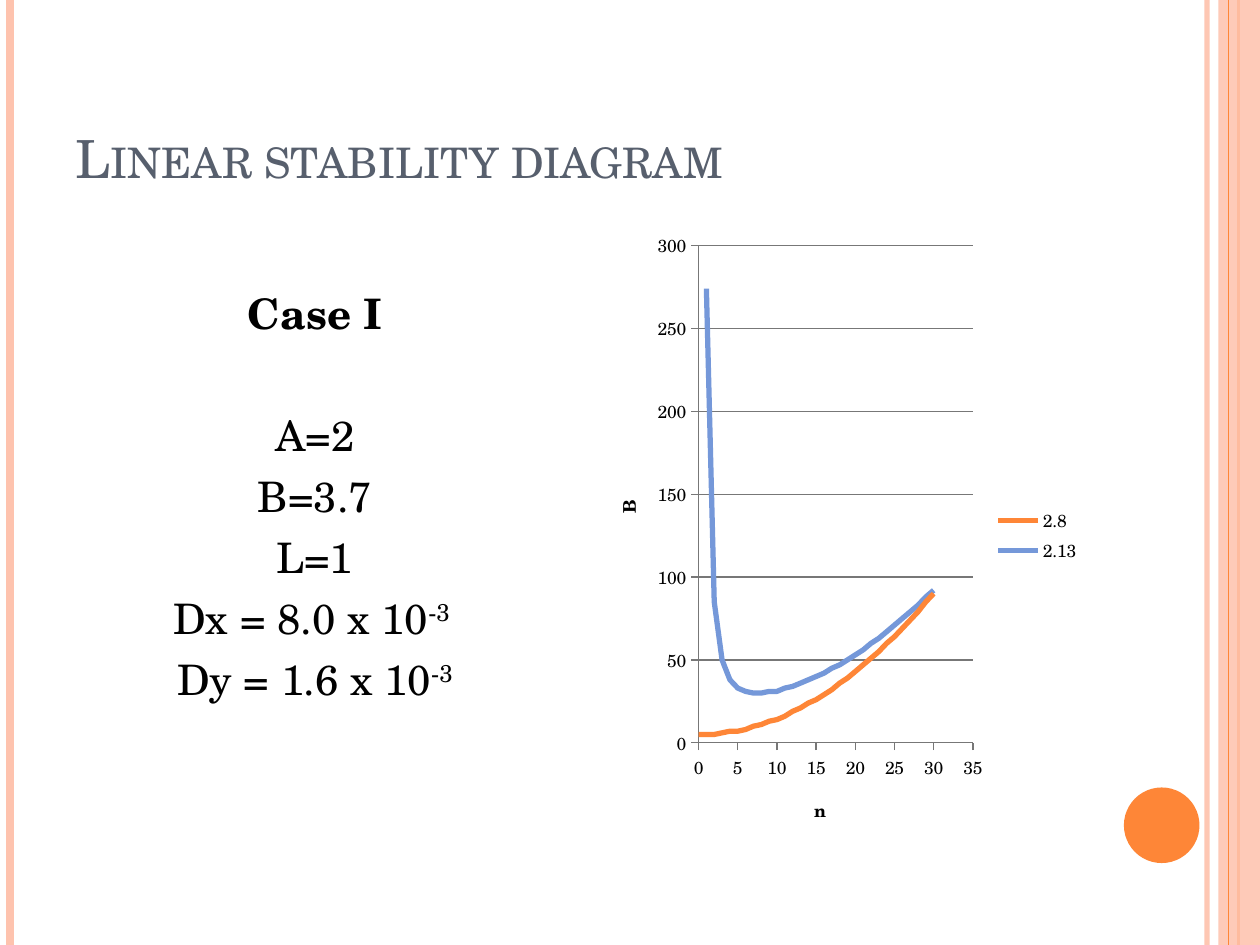
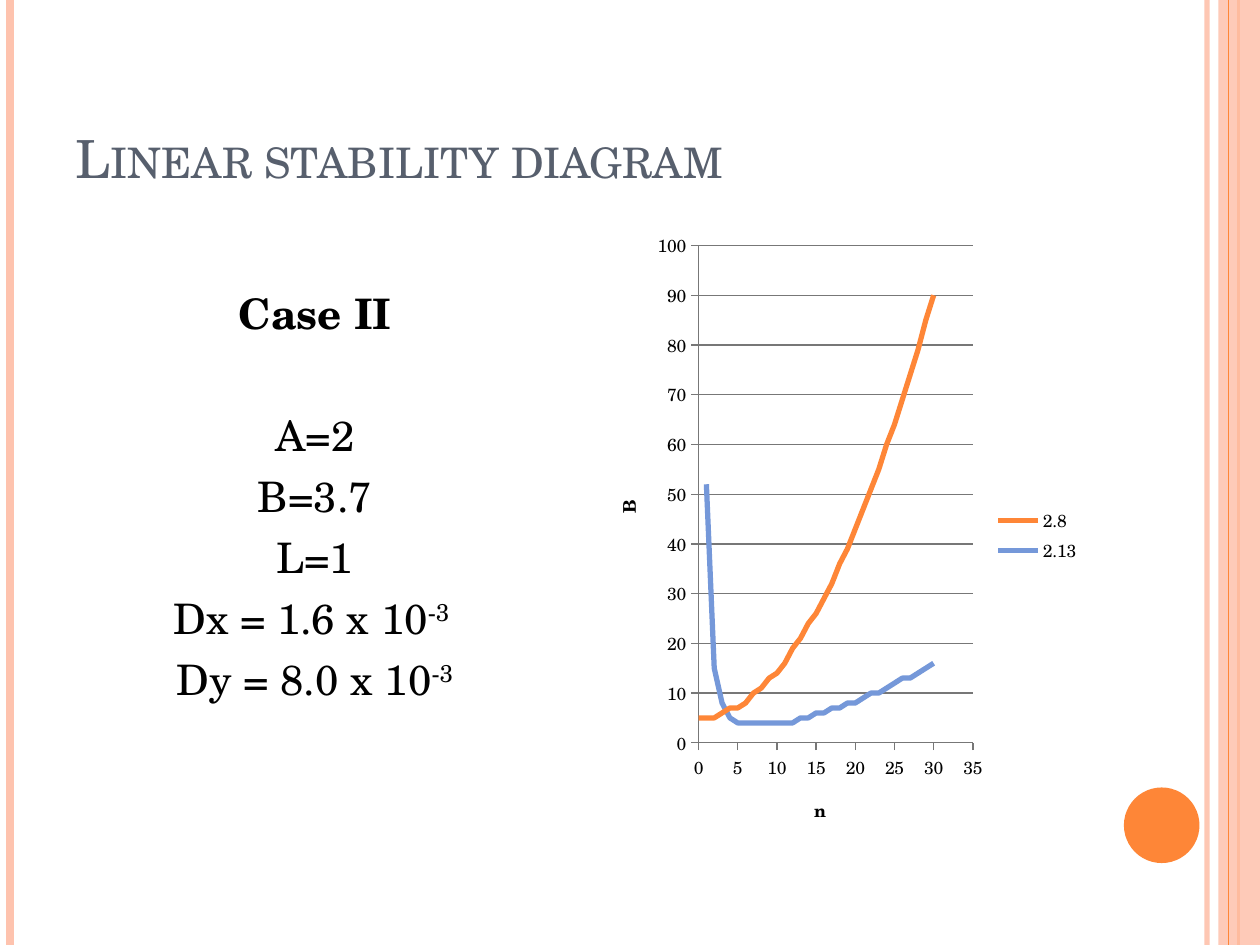
from lxml import etree
from pptx import Presentation
from pptx import util as u
from pptx.chart import data as cd
from pptx.dml.color import RGBColor
from pptx.enum import chart as ce, shapes, text
from pptx.oxml.ns import qn

FACE = "TeX Gyre Schola"
PALE, ORANGE, BLUE = "FEC3AE", "FE8637", "7598D9"
SLATE, BLACK, GREY = "575F6D", "000000", "777777"


def tint(form, code, alpha=100):
    form.solid()
    form.fore_color.rgb = RGBColor.from_string(code)
    if alpha < 100:
        node = form._xPr.find(".//" + qn("a:srgbClr"))
        etree.SubElement(node, qn("a:alpha")).set("val", str(alpha * 1000))


def put(item, **vals):
    for key, val in vals.items():
        setattr(item, key, val)


class Deck:
    def __init__(self):
        self.pres = Presentation()
        put(self.pres, slide_width=u.Inches(10), slide_height=u.Inches(7.5))

    def page(self):
        self.slide = self.pres.slides.add_slide(self.pres.slide_layouts[6])
        self.rule(9.58, PALE, 3, 93)
        self.rule(0.08, PALE, 4.5)
        self.rule(9.83, ORANGE, 1.5)
        self.shape(shapes.MSO_SHAPE.RECTANGLE, (9.67, 0, 0.33, 7.5), PALE, 87)
        self.rule(9.75, ORANGE, 0.75)
        self.shape(shapes.MSO_SHAPE.OVAL, (8.92, 6.25, 0.6, 0.6), ORANGE)

    def rule(self, left, code, width, alpha=100):
        x = u.Inches(left)
        line = self.slide.shapes.add_connector(
            shapes.MSO_CONNECTOR.STRAIGHT, x, 0, x, u.Inches(7.5))
        line.line.width = u.Pt(width)
        tint(line.line.fill, code, alpha)
        etree.SubElement(line._element.spPr, qn("a:effectLst"))

    def shape(self, kind, box, code, alpha=100):
        form = self.slide.shapes.add_shape(kind, *map(u.Inches, box))
        form.shadow.inherit = False
        form.line.fill.background()
        tint(form.fill, code, alpha)

    def font(self, font, size, code=BLACK, bold=False):
        put(font, name=FACE, size=u.Pt(size), bold=bold)
        tint(font.fill, code)

    def frame(self, box, **vals):
        frame = self.slide.shapes.add_textbox(*map(u.Inches, box)).text_frame
        put(frame, word_wrap=True, **vals)
        return frame

    def run(self, para, words, size, code=BLACK, bold=False, **attrs):
        run = para.add_run()
        run.text = words
        self.font(run.font, size, code, bold)
        for key, val in attrs.items():
            run._r.get_or_add_rPr().set(key, val)

    def title(self, words):
        frame = self.frame((0.5, 0.3, 8.17, 1.25),
                           vertical_anchor=text.MSO_ANCHOR.BOTTOM)
        self.run(frame.paragraphs[0], words, 30, SLATE, cap="small")

    def body(self, head, rows):
        frame = self.frame((0.5, 1.75, 4, 5), margin_top=u.Inches(0.53))
        for num, (words, power) in enumerate([(head, "")] + rows):
            para = frame.add_paragraph() if num else frame.paragraphs[0]
            put(para, alignment=text.PP_ALIGN.CENTER,
                space_before=u.Pt(41 if num == 1 else 6))
            self.run(para, words, 24, bold=num == 0)
            if power:
                self.run(para, power, 24, baseline="30000")

    def axis(self, axis, name, grid):
        put(axis, has_major_gridlines=grid, has_title=True,
            major_tick_mark=ce.XL_TICK_MARK.OUTSIDE,
            minor_tick_mark=ce.XL_TICK_MARK.NONE)
        lines = [axis.format.line]
        if grid:
            lines.append(axis.major_gridlines.format.line)
        for line in lines:
            line.width = u.Pt(0.75)
            tint(line.fill, GREY)
        para = axis.axis_title.text_frame.paragraphs[0]
        self.run(para, name, 10, bold=True)

    def chart(self, curves):
        data = cd.XyChartData()
        for name, start, vals, code in curves:
            line = data.add_series(name)
            for x, y in enumerate(vals, start):
                line.add_data_point(x, y)
        chart = self.slide.shapes.add_chart(
            ce.XL_CHART_TYPE.XY_SCATTER_SMOOTH_NO_MARKERS,
            *map(u.Inches, (4.67, 1.75, 4, 5)), data).chart
        put(chart, has_title=False, has_legend=True)
        self.font(chart.font, 10)
        put(chart.legend, include_in_layout=False,
            position=ce.XL_LEGEND_POSITION.RIGHT)
        self.axis(chart.category_axis, "n", False)
        self.axis(chart.value_axis, "B", True)
        plot = chart.plots[0]
        plot.vary_by_categories = False
        for line, curve in zip(plot.series, curves):
            line.smooth = True
            line.marker.style = ce.XL_MARKER_STYLE.NONE
            line.format.line.width = u.Pt(3)
            tint(line.format.line.fill, curve[3])


RISE = [5, 5, 5, 6, 7, 7, 8, 10, 11, 13, 14, 16, 19, 21, 24, 26, 29, 32, 36,
        39, 43, 47, 51, 55, 60, 64, 69, 74, 79, 85, 90]
CASES = [
    ("Case I", "8.0", "1.6",
     [274, 85, 50, 38, 33, 31, 30, 30, 31, 31, 33, 34, 36, 38, 40, 42, 45, 47,
      50, 53, 56, 60, 63, 67, 71, 75, 79, 83, 88, 92]),
    ("Case II", "1.6", "8.0",
     [52, 15, 8, 5, 4, 4, 4, 4, 4, 4, 4, 4, 5, 5, 6, 6, 7, 7, 8, 8, 9, 10, 10,
      11, 12, 13, 13, 14, 15, 16]),
]

deck = Deck()
for head, dx, dy, dip in CASES:
    deck.page()
    deck.title("Linear stability diagram")
    deck.body(head, [("A=2", ""), ("B=3.7", ""), ("L=1", ""),
                     (f"Dx = {dx} x 10", "-3 "), (f"Dy = {dy} x 10", "-3")])
    deck.chart([("2.8", 0, RISE, ORANGE), ("2.13", 1, dip, BLUE)])
deck.pres.save("out.pptx")
